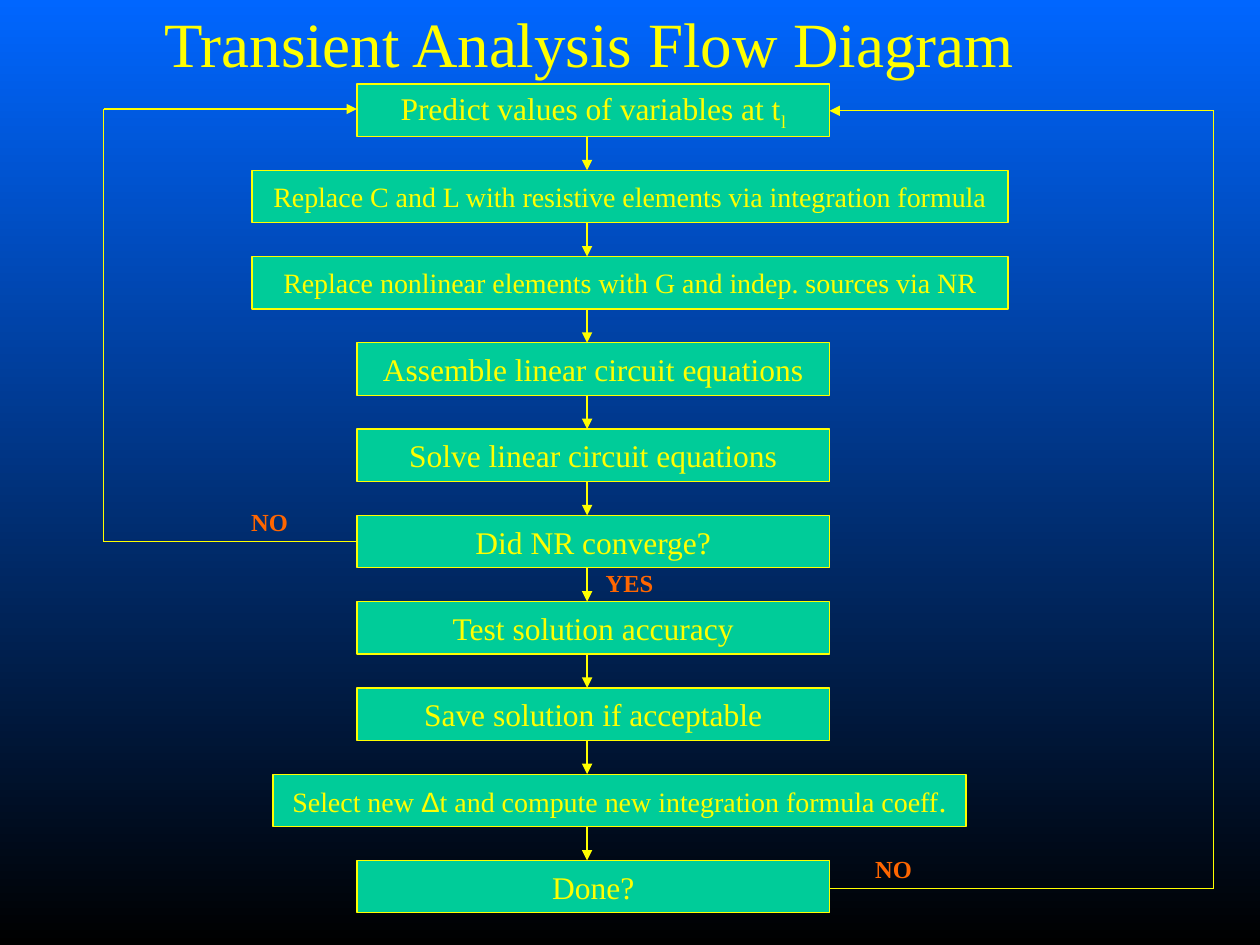
from dataclasses import dataclass
from itertools import pairwise

from lxml.etree import SubElement
from pptx import Presentation
from pptx.dml.color import RGBColor
from pptx.enum.shapes import MSO_CONNECTOR, MSO_SHAPE
from pptx.enum.text import MSO_ANCHOR, MSO_AUTO_SIZE, PP_ALIGN
from pptx.oxml.ns import qn
from pptx.util import Pt


@dataclass(frozen=True)
class Theme:
    serif: str = "Times New Roman"
    sans: str = "Arial"
    sky: RGBColor = RGBColor(0x00, 0x66, 0xFF)
    night: RGBColor = RGBColor(0x00, 0x00, 0x00)
    box: RGBColor = RGBColor(0x00, 0xCC, 0x99)
    ink: RGBColor = RGBColor(0xFF, 0xFF, 0x00)
    answer: RGBColor = RGBColor(0xFF, 0x66, 0x00)
    title_size: int = 36
    title_end_size: int = 44
    step_size: int = 18
    long_step_size: int = 16
    answer_size: int = 14
    line_width: float = 0.75


theme = Theme()


def add_run(paragraph, text, size, color=theme.ink, font=theme.serif, bold=False):
    run = paragraph.add_run()
    run.text = text
    run.font.name = font
    run.font.size = Pt(size)
    run.font.bold = bold
    run.font.color.rgb = color
    return run


def add_line(shapes, start, end, arrow=False):
    line = shapes.add_connector(
        MSO_CONNECTOR.STRAIGHT, *(Pt(value) for value in (*start, *end))
    )
    line.line.color.rgb = theme.ink
    line.line.width = Pt(theme.line_width)
    properties = line._element.spPr
    if arrow:
        SubElement(properties.get_or_add_ln(), qn("a:tailEnd"), type="triangle")
    SubElement(properties, qn("a:effectLst"))


presentation = Presentation()
presentation.slide_width, presentation.slide_height = Pt(720), Pt(540)
slide = presentation.slides.add_slide(presentation.slide_layouts[5])

background = slide.background.fill
background.gradient()
background.gradient_angle = 270
for stop, color, position in zip(
    background.gradient_stops, (theme.sky, theme.night), (0, 1)
):
    stop.color.rgb = color
    stop.position = position

title = slide.shapes.title
title.left, title.top, title.width, title.height = Pt(17.5), Pt(-12), Pt(649.5), Pt(66)
title.text_frame.auto_size = MSO_AUTO_SIZE.NONE
title.text_frame.vertical_anchor = MSO_ANCHOR.MIDDLE
paragraph = title.text_frame.paragraphs[0]
paragraph.alignment = PP_ALIGN.CENTER
add_run(paragraph, "Transient Analysis Flow Diagram", theme.title_size)
add_run(paragraph, " ", theme.title_end_size)

# Steps, top to bottom: left, width, then runs of text, size and font
normal, wide, medium = (204, 270), (144, 432), (156, 396)
large, small = theme.step_size, theme.long_step_size
steps = [
    (normal, [("Predict values of variables at t", large, theme.serif)]),
    (wide, [("Replace C and L with resistive elements via integration formula",
             small, theme.serif)]),
    (wide, [("Replace nonlinear elements with G and indep. sources via NR",
             small, theme.serif)]),
    (normal, [("Assemble linear circuit equations", large, theme.serif)]),
    (normal, [("Solve linear circuit equations", large, theme.serif)]),
    (normal, [("Did NR converge?", large, theme.serif)]),
    (normal, [("Test solution accuracy", large, theme.serif)]),
    (normal, [("Save solution if acceptable", large, theme.serif)]),
    (medium, [("Select new ", small, theme.serif),
              ("Δ", small, theme.sans),
              ("t and compute new integration formula coeff", small, theme.serif),
              (".", large, theme.serif)]),
    (normal, [("Done?", large, theme.serif)]),
]
first_top, pitch, box_height = 48, 49.3, 30
tops = [first_top + index * pitch for index in range(len(steps))]

boxes = []
for top, ((left, width), runs) in zip(tops, steps):
    box = slide.shapes.add_shape(
        MSO_SHAPE.RECTANGLE, Pt(left), Pt(top), Pt(width), Pt(box_height)
    )
    box.shadow.inherit = False
    box.fill.solid()
    box.fill.fore_color.rgb = theme.box
    box.line.color.rgb = theme.ink
    box.line.width = Pt(theme.line_width)
    box.text_frame.word_wrap = False
    box.text_frame.vertical_anchor = MSO_ANCHOR.MIDDLE
    paragraph = box.text_frame.paragraphs[0]
    paragraph.alignment = PP_ALIGN.CENTER
    for text, size, font in runs:
        add_run(paragraph, text, size, font=font)
    boxes.append(box)

subscript = add_run(boxes[0].text_frame.paragraphs[0], "l", large)
subscript._r.get_or_add_rPr().set("baseline", "-25000")

arrow_x = 335.5
for top, next_top in pairwise(tops):
    add_line(slide.shapes, (arrow_x, top + box_height), (arrow_x, next_top), arrow=True)

# Loops back to the first step: box edge, outer track, start and end heights
box_left, box_right = normal[0], sum(normal)
for edge, track, start_y, end_y in [
    (box_left, 59.25, 309.6, 62.3),
    (box_right, 693.5, 507.6, 63.3),
]:
    loop = slide.shapes.add_group_shape()
    corners = [(edge, start_y), (track, start_y), (track, end_y), (edge, end_y)]
    for start, end in pairwise(corners):
        add_line(loop.shapes, start, end, arrow=end == corners[-1])

for text, left, top, width in [
    ("YES", 339, 321.3, 42),
    ("NO", 136.5, 286, 35.5),
    ("NO", 493, 484.5, 35.5),
]:
    label = slide.shapes.add_textbox(Pt(left), Pt(top), Pt(width), Pt(24.25))
    label.text_frame.word_wrap = False
    label.text_frame.auto_size = MSO_AUTO_SIZE.SHAPE_TO_FIT_TEXT
    add_run(label.text_frame.paragraphs[0], text, theme.answer_size,
            theme.answer, bold=True)

presentation.save("out.pptx")
